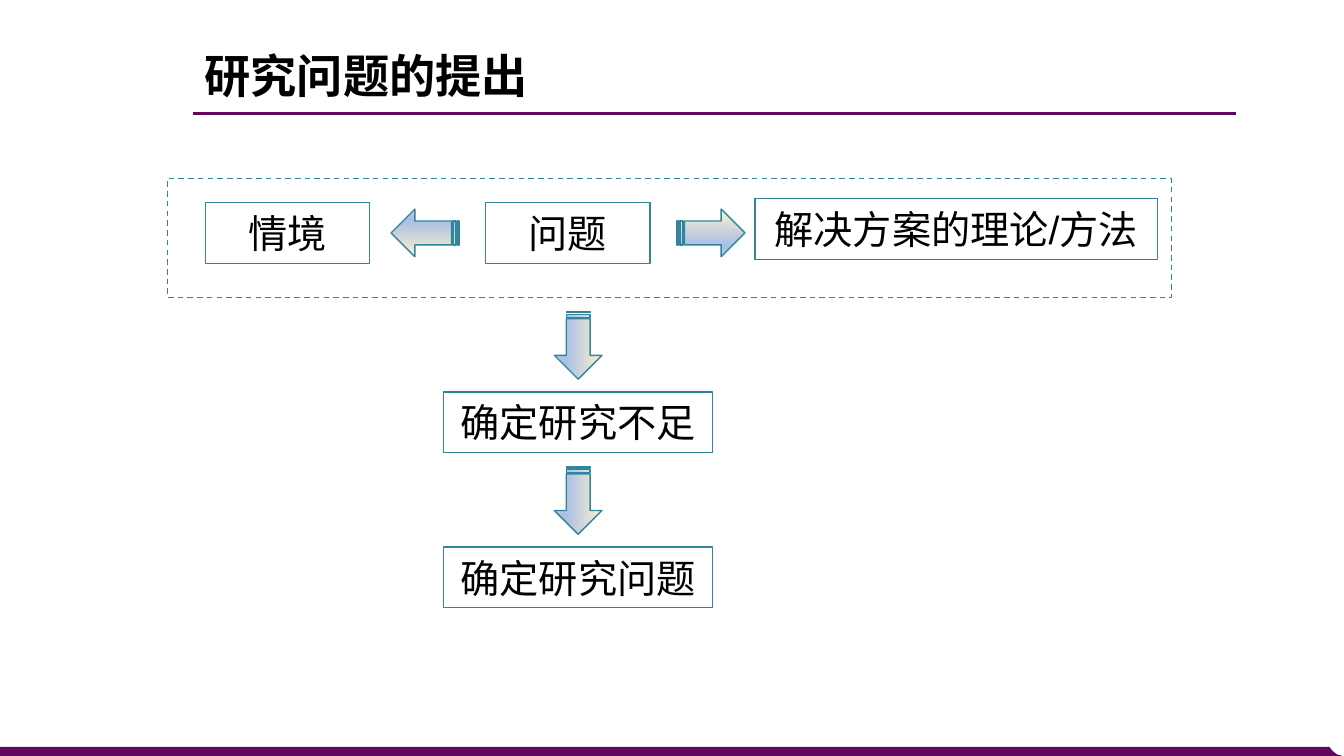
from lxml import etree
from pptx import Presentation
from pptx.dml.color import RGBColor
from pptx.enum import dml, shapes, text
from pptx.oxml import ns
from pptx.util import Cm, Pt

COLOURS = {
    "purple": "63065F",
    "teal": "31859C",
    "black": "000000",
    "cream": "FFF2CC",
    "blue": "ABC0E4",
    "pale": "C7D5ED",
}
ARROW_STOPS = [(0, "cream"), (74, "blue"), (83, "blue"), (100, "pale")]
LATIN, HAN = "Arial", "Noto Sans CJK SC"


def colour(name):
    return RGBColor.from_string(COLOURS[name])


class ProblemSlide:
    def __init__(self, deck):
        self.slide = deck.slides.add_slide(deck.slide_layouts[5])

    def wording(self, paragraph, words, size, font, bold=False):
        run = paragraph.add_run()
        run.text = words
        run.font.size = Pt(size)
        run.font.name = font
        run.font.bold = bold
        run.font.color.rgb = colour("black")
        latin = run.font._element.find(ns.qn("a:latin"))
        east_asian = etree.Element(ns.qn("a:ea"), typeface=HAN)
        latin.addnext(east_asian)

    def title(self, words):
        heading = self.slide.shapes.title
        heading.left, heading.top = Cm(4.9), Cm(1.19)
        heading.width, heading.height = Cm(23.27), Cm(1.57)
        frame = heading.text_frame
        frame.auto_size = text.MSO_AUTO_SIZE.NONE
        frame.vertical_anchor = text.MSO_ANCHOR.MIDDLE
        paragraph = frame.paragraphs[0]
        paragraph.alignment = text.PP_ALIGN.LEFT
        paragraph.line_spacing = 0.9
        self.wording(paragraph, words, 33, HAN, True)

    def rule(self, left, right, y):
        underline = self.slide.shapes.add_connector(
            shapes.MSO_CONNECTOR.STRAIGHT, Cm(left), Cm(y), Cm(right), Cm(y))
        underline.line.color.rgb = colour("purple")
        underline.line.width = Pt(2.25)
        etree.SubElement(underline._element.spPr, ns.qn("a:effectLst"))

    def footer(self, points):
        builder = self.slide.shapes.build_freeform(
            Cm(points[0][0]), Cm(points[0][1]))
        builder.add_line_segments(
            [(Cm(x), Cm(y)) for x, y in points[1:]], close=True)
        band = builder.convert_to_shape()
        band.shadow.inherit = False
        band.fill.solid()
        band.fill.fore_color.rgb = colour("purple")
        band.line.fill.background()

    def outlined(self, preset, centre_x, centre_y, width, height):
        figure = self.slide.shapes.add_shape(
            preset, Cm(centre_x - width / 2), Cm(centre_y - height / 2),
            Cm(width), Cm(height))
        figure.shadow.inherit = False
        figure.fill.background()
        figure.line.color.rgb = colour("teal")
        figure.line.width = Pt(1)
        return figure

    def frame(self, centre_x, centre_y, width, height):
        border = self.outlined(
            shapes.MSO_SHAPE.RECTANGLE, centre_x, centre_y, width, height)
        border.line.dash_style = dml.MSO_LINE.DASH

    def box(self, words, centre_x, centre_y, width):
        concept = self.outlined(
            shapes.MSO_SHAPE.RECTANGLE, centre_x, centre_y, width, 1.53)
        concept.text_frame.word_wrap = False
        concept.text_frame.vertical_anchor = text.MSO_ANCHOR.MIDDLE
        paragraph = concept.text_frame.paragraphs[0]
        paragraph.alignment = text.PP_ALIGN.CENTER
        paragraph.space_before = Pt(10)
        self.wording(paragraph, words, 28, LATIN)

    def arrow(self, centre_x, centre_y, rotation):
        pointer = self.outlined(
            shapes.MSO_SHAPE.STRIPED_RIGHT_ARROW, centre_x, centre_y, 1.71, 1.2)
        pointer.rotation = rotation
        pointer.fill.gradient()
        pointer.fill.gradient_angle = 270
        stops = pointer._element.spPr.find(
            ns.qn("a:gradFill")).find(ns.qn("a:gsLst"))
        for stop in list(stops):
            stops.remove(stop)
        for position, name in ARROW_STOPS:
            stop = etree.SubElement(
                stops, ns.qn("a:gs"), pos=str(position * 1000))
            etree.SubElement(stop, ns.qn("a:srgbClr"), val=COLOURS[name])


def main():
    deck = Presentation()
    deck.slide_width, deck.slide_height = Cm(33.87), Cm(19.05)
    page = ProblemSlide(deck)

    page.footer([(0, 18.82), (33.5, 18.82), (33.58, 18.92), (33.69, 19.01),
                 (33.83, 19.05), (0, 19.05)])
    page.rule(4.86, 31.14, 2.85)
    page.title("研究问题的提出")

    row_y = 5.87
    page.frame(16.87, 6, 25.3, 3)
    page.box("情境", 7.25, row_y, 4.14)
    page.box("问题", 14.31, row_y, 4.14)
    page.box("解决方案的理论/方法", 24.1, 5.77, 10.14)
    page.arrow(10.71, row_y, 180)
    page.arrow(17.92, row_y, 0)

    step_x = 14.57
    for step, words in enumerate(["确定研究不足", "确定研究问题"]):
        arrow_y = 8.7 + step * 3.91
        page.arrow(step_x, arrow_y, 90)
        page.box(words, step_x, arrow_y + 1.94, 6.78)

    deck.save("out.pptx")


if __name__ == "__main__":
    main()
